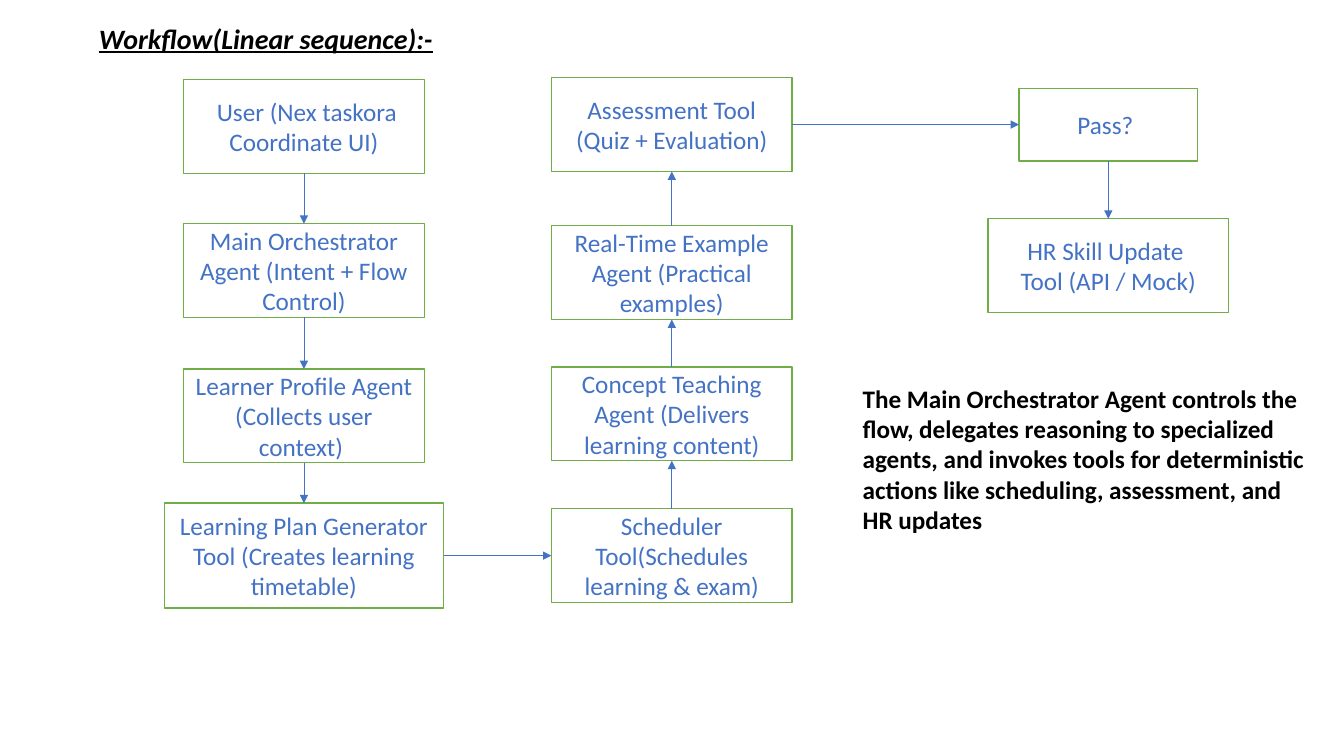
from itertools import pairwise

from lxml.etree import SubElement
from pptx import Presentation
from pptx.dml.color import RGBColor
from pptx.enum.shapes import MSO_CONNECTOR, MSO_SHAPE
from pptx.enum.text import MSO_ANCHOR, PP_ALIGN
from pptx.oxml.ns import qn
from pptx.util import Cm, Pt

HUES = {"paper": "FFFFFF", "edge": "70AD47", "flow": "4472C4", "ink": "000000"}
TOP, LEFT, BOTTOM, RIGHT = range(4)
SIZE = (6.07, 2.36)
WIDE = (7.04, 2.64)
SMALL = (4.5, 1.83)

STEPS = [
    (7.66, 3.19, SIZE, " User (Nex taskora Coordinate UI)"),
    (7.66, 6.82, SIZE, "Main Orchestrator Agent (Intent + Flow Control)"),
    (7.66, 10.48, SIZE, "Learner Profile Agent (Collects user context) "),
    (7.66, 14, WIDE, "Learning Plan Generator Tool (Creates learning timetable)"),
    (16.93, 14, SIZE, "Scheduler Tool(Schedules learning & exam)"),
    (16.93, 10.43, SIZE, "Concept Teaching Agent (Delivers learning content)"),
    (16.93, 6.87, SIZE, "Real-Time Example Agent (Practical examples)"),
    (16.93, 3.14, SIZE, "Assessment Tool (Quiz + Evaluation)"),
    (27.93, 3.14, SMALL, "Pass? "),
    (27.93, 6.69, SIZE, "HR Skill Update \nTool (API / Mock)"),
]
NOTE = (
    "The Main Orchestrator Agent controls the flow, delegates reasoning to "
    "specialized agents, and invokes tools for deterministic actions like "
    "scheduling, assessment, and HR updates"
)


class Board:
    def __init__(self, slide, face="Calibri"):
        self.slide = slide
        self.face = face

    def hue(self, name):
        return RGBColor.from_string(HUES[name])

    def label(self, shape, text, hue, size=18, align=PP_ALIGN.LEFT, bold=False, slant=False):
        frame = shape.text_frame
        frame.word_wrap = True
        frame.text = text
        for para in frame.paragraphs:
            para.alignment = align
            font = para.font
            font.name, font.size = self.face, Pt(size)
            font.color.rgb = self.hue(hue)
            font.bold = bold
            font.italic = font.underline = slant

    def title(self, text, *area):
        head = self.slide.shapes.title
        head.left, head.top, head.width, head.height = map(Cm, area)
        head.text_frame.vertical_anchor = MSO_ANCHOR.TOP
        self.label(head, text, "ink", 20, bold=True, slant=True)

    def note(self, text, *area):
        box = self.slide.shapes.add_textbox(*map(Cm, area))
        self.label(box, text, "ink", bold=True)

    def step(self, x, y, size, text):
        wide, high = size
        area = (x - wide / 2, y - high / 2, wide, high)
        box = self.slide.shapes.add_shape(MSO_SHAPE.RECTANGLE, *map(Cm, area))
        box.shadow.inherit = False
        box.fill.solid()
        box.fill.fore_color.rgb = self.hue("paper")
        box.line.color.rgb = self.hue("edge")
        box.line.width = Pt(1)
        box.text_frame.vertical_anchor = MSO_ANCHOR.MIDDLE
        self.label(box, text, "flow", align=PP_ALIGN.CENTER)
        return box

    def arrow(self, start, end):
        if start.left + start.width < end.left:
            sides = RIGHT, LEFT
        elif start.top < end.top:
            sides = BOTTOM, TOP
        else:
            sides = TOP, BOTTOM
        link = self.slide.shapes.add_connector(MSO_CONNECTOR.STRAIGHT, 0, 0, 0, 0)
        link.begin_connect(start, sides[0])
        link.end_connect(end, sides[1])
        link.line.color.rgb = self.hue("flow")
        link.line.width = Pt(0.5)
        props = link._element.spPr
        SubElement(props.find(qn("a:ln")), qn("a:tailEnd"), type="triangle")
        SubElement(props, qn("a:effectLst"))


def main():
    deck = Presentation()
    deck.slide_width, deck.slide_height = Cm(33.87), Cm(19.05)
    board = Board(deck.slides.add_slide(deck.slide_layouts[5]))
    board.title("Workflow(Linear sequence):-", 2.24, 0.41, 16.94, 1.12)
    boxes = [board.step(*step) for step in STEPS]
    for start, end in pairwise(boxes):
        board.arrow(start, end)
    board.note(NOTE, 21.49, 9.53, 11.81, 4.11)
    deck.save("out.pptx")


if __name__ == "__main__":
    main()
